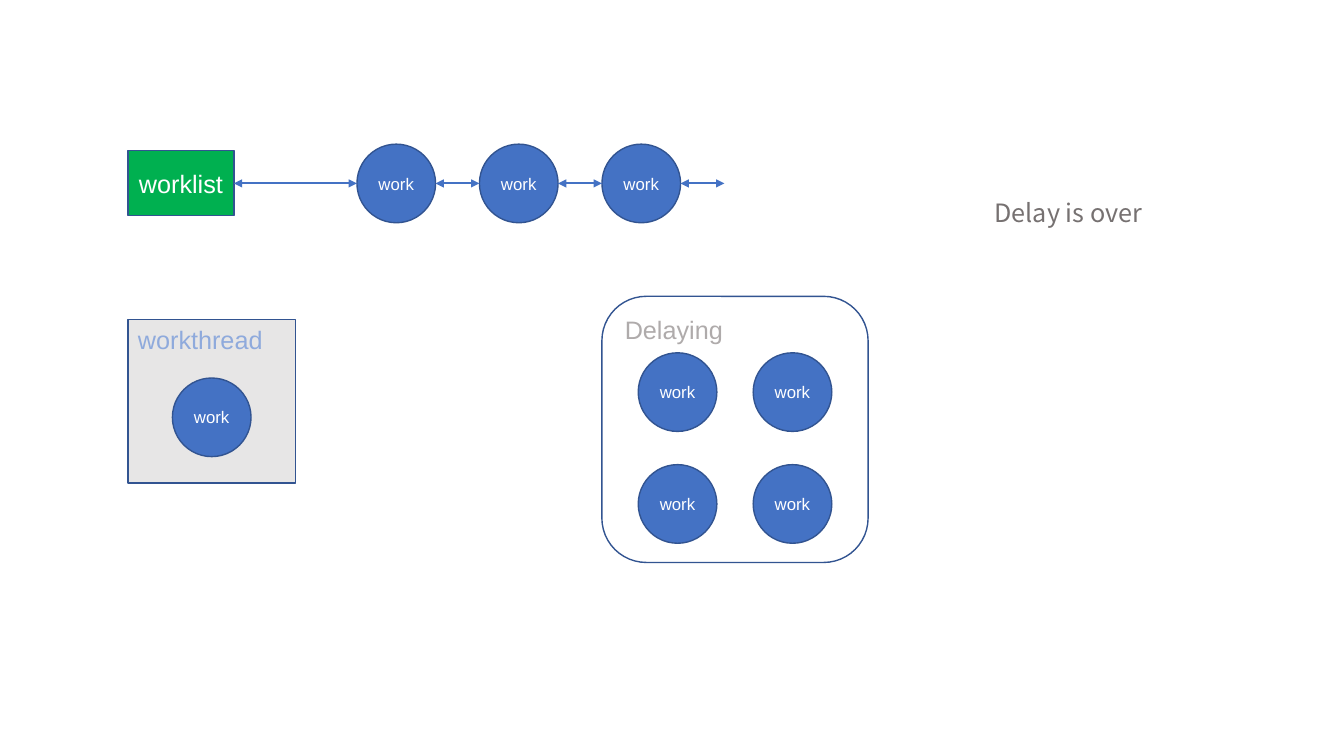
from itertools import product

from lxml import etree
from pptx import Presentation
from pptx.dml.color import RGBColor
from pptx.enum.shapes import MSO_CONNECTOR, MSO_SHAPE
from pptx.enum.text import MSO_ANCHOR, PP_ALIGN
from pptx.oxml.ns import qn
from pptx.util import Inches, Pt

RECT, ROUND, OVAL = MSO_SHAPE.RECTANGLE, MSO_SHAPE.ROUNDED_RECTANGLE, MSO_SHAPE.OVAL
STRAIGHT = MSO_CONNECTOR.STRAIGHT
TOP, MIDDLE = MSO_ANCHOR.TOP, MSO_ANCHOR.MIDDLE
LEFT, CENTER = PP_ALIGN.LEFT, PP_ALIGN.CENTER

COLORS = {
    "white": "FFFFFF", "blue": "4472C4", "navy": "325491", "green": "00B050",
    "pale": "E7E6E6", "sky": "8FAADC", "silver": "AFABAB", "gray": "767171",
}

# kind, box, text, format
PANELS = [
    (ROUND, (5.97, 2.94, 2.64, 2.64), "Delaying",
     dict(fill="white", color="silver", align=LEFT, anchor=TOP, wrap=True)),
    (RECT, (1.27, 1.49, 1.05, 0.65), "worklist", dict(fill="green")),
    (RECT, (1.27, 3.17, 1.66, 1.62), "workthread",
     dict(fill="pale", color="sky", align=LEFT, anchor=TOP, wrap=True)),
    (RECT, (9.17, 1.81, 2.85, 0.59), "Delay is over",
     dict(fill="white", line="white", color="gray", font="Noto Sans CJK SC")),
]
WORK = "work"
SIZE = 0.78                       # diameter of a work circle
CHAIN_TOP, CHAIN_X, STEP, COUNT = 1.43, 3.54, 1.215, 3
LIST_END = 2.32                   # right edge of the worklist box
DELAY_X, DELAY_Y = (6.33, 7.47), (3.5, 4.61)
THREAD_SPOT = (1.71, 3.75)

prs = Presentation()
prs.slide_width, prs.slide_height = Inches(13.33), Inches(7.5)
slide = prs.slides.add_slide(prs.slide_layouts[6])


def rgb(name):
    return RGBColor.from_string(COLORS[name])


def add_box(kind, box, text, fill="blue", line="navy", color="white", size=18,
            font="Arial", align=CENTER, anchor=MIDDLE, wrap=False):
    shape = slide.shapes.add_shape(kind, *map(Inches, box))
    shape.shadow.inherit = False
    shape.fill.solid()
    shape.fill.fore_color.rgb = rgb(fill)
    shape.line.color.rgb = rgb(line)
    shape.line.width = Pt(1)
    frame = shape.text_frame
    frame.word_wrap = wrap
    frame.vertical_anchor = anchor
    para = frame.paragraphs[0]
    para.alignment = align
    run = para.add_run()
    run.text = text
    run.font.name = font
    run.font.size = Pt(size)
    run.font.color.rgb = rgb(color)


def add_arrow(start, end, y):
    """Draw a level line with a head at both ends."""
    arrow = slide.shapes.add_connector(
        STRAIGHT, Inches(start), Inches(y), Inches(end), Inches(y))
    arrow.line.color.rgb = rgb("blue")
    arrow.line.width = Pt(1.5)
    stroke = arrow.line._get_or_add_ln()
    for tag in ("a:headEnd", "a:tailEnd"):
        etree.SubElement(stroke, qn(tag)).set("type", "triangle")
    etree.SubElement(arrow._element.spPr, qn("a:effectLst"))


for kind, box, text, style in PANELS:
    add_box(kind, box, text, **style)

chain = [CHAIN_X + i * STEP for i in range(COUNT)]
spots = [(x, CHAIN_TOP) for x in chain]
spots += [*product(DELAY_X, DELAY_Y), THREAD_SPOT]
for x, y in spots:
    add_box(OVAL, (x, y, SIZE, SIZE), WORK, size=12)

mid = CHAIN_TOP + SIZE / 2
add_arrow(LIST_END, CHAIN_X, mid)
for x in chain:
    add_arrow(x + SIZE, x + STEP, mid)

prs.save("out.pptx")
